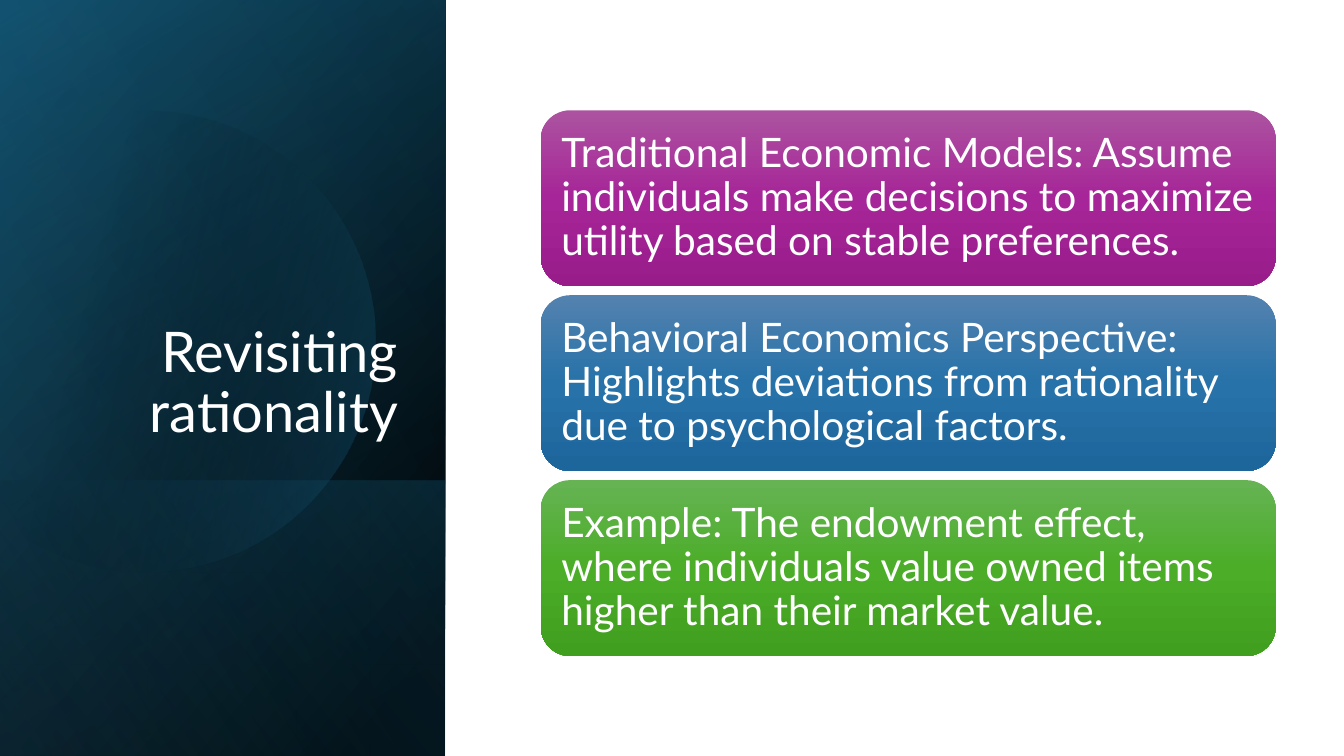
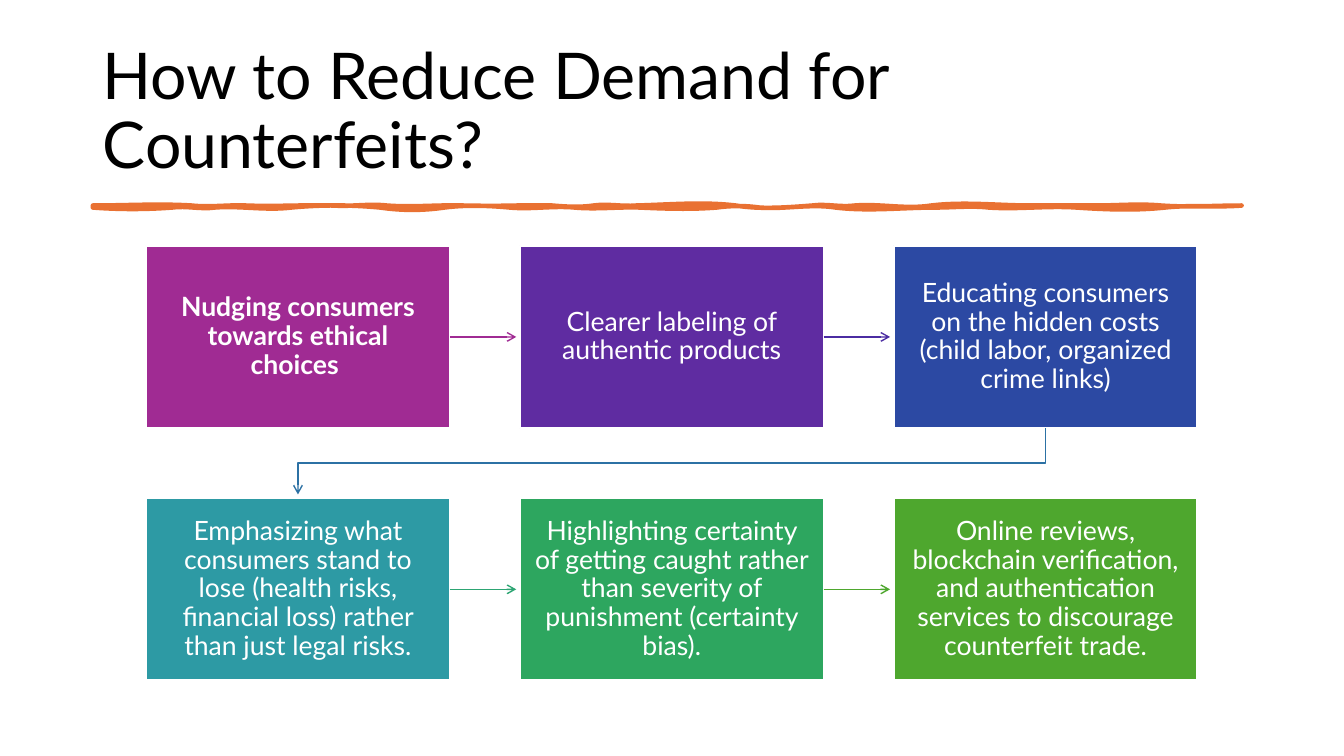
"""Build two slides: rationality statements beside a dark panel, and a six-step flow."""
import math

from pptx import Presentation
from pptx.dml.color import RGBColor
from pptx.enum.shapes import MSO_CONNECTOR, MSO_SHAPE
from pptx.enum.text import MSO_ANCHOR, PP_ALIGN
from pptx.oxml import parse_xml
from pptx.oxml.ns import nsdecls, qn
from pptx.util import Cm, Pt

RECTANGLE, ROUNDED = MSO_SHAPE.RECTANGLE, MSO_SHAPE.ROUNDED_RECTANGLE
STRAIGHT = MSO_CONNECTOR.STRAIGHT
LEFT, CENTER, RIGHT = PP_ALIGN.LEFT, PP_ALIGN.CENTER, PP_ALIGN.RIGHT
MIDDLE, BOTTOM = MSO_ANCHOR.MIDDLE, MSO_ANCHOR.BOTTOM

FONT = "Lato"
WHITE = RGBColor(0xFF, 0xFF, 0xFF)
BLACK = RGBColor(0x00, 0x00, 0x00)
NAVY = RGBColor(0x10, 0x48, 0x62)
TEAL = RGBColor(0x15, 0x60, 0x82)
SKY = RGBColor(0x46, 0xB1, 0xE1)
ORANGE = RGBColor(0xE9, 0x71, 0x32)
PURPLES = RGBColor(0xAC, 0x53, 0xA0), RGBColor(0xA6, 0x25, 0x98), RGBColor(0x99, 0x1C, 0x8B)
BLUES = RGBColor(0x53, 0x82, 0xAF), RGBColor(0x27, 0x72, 0xA9), RGBColor(0x1D, 0x66, 0x9C)
GREENS = RGBColor(0x66, 0xB3, 0x54), RGBColor(0x4B, 0xAD, 0x28), RGBColor(0x40, 0x9F, 0x1E)
MAGENTA = RGBColor(0xA0, 0x2B, 0x93)
VIOLET = RGBColor(0x5F, 0x2C, 0xA1)
INDIGO = RGBColor(0x4B, 0x2C, 0xA2)
ROYAL = RGBColor(0x2C, 0x49, 0xA3)
STEEL = RGBColor(0x2C, 0x71, 0xA4)
CYAN = RGBColor(0x2D, 0x9A, 0xA4)
JADE = RGBColor(0x2D, 0xA5, 0x73)
EMERALD = RGBColor(0x2D, 0xA6, 0x5F)
LEAF = RGBColor(0x4E, 0xA7, 0x2E)


def write_text(box, text, size, color, align, anchor, inset_x, inset_y, bold=False):
    """Set one paragraph in the deck's type style."""
    frame = box.text_frame
    frame.word_wrap = True
    frame.vertical_anchor = anchor
    frame.margin_left = frame.margin_right = Cm(inset_x)
    frame.margin_top = frame.margin_bottom = Cm(inset_y)
    para = frame.paragraphs[0]
    para.alignment = align
    para.line_spacing = 0.9
    span = para.add_run()
    span.text = text
    span.font.name = FONT
    span.font.size = Pt(size)
    span.font.bold = bold
    span.font.color.rgb = color


def fill_gradient(shape, angle, stops):
    """Fill a borderless shape with (position, colour, opacity) stops in percent."""
    marks = "".join(
        f'<a:gs pos="{place * 1000}"><a:srgbClr val="{color}">'
        f'<a:alpha val="{opacity * 1000}"/></a:srgbClr></a:gs>'
        for place, color, opacity in stops
    )
    shape.fill.gradient()
    properties = shape._element.spPr
    properties.replace(properties.find(qn("a:gradFill")), parse_xml(
        f'<a:gradFill {nsdecls("a")} rotWithShape="1"><a:gsLst>{marks}</a:gsLst>'
        f'<a:lin ang="{angle * 60000}" scaled="0"/></a:gradFill>'
    ))
    shape.line.fill.background()
    shape.shadow.inherit = False


deck = Presentation()
deck.slide_width, deck.slide_height = Cm(33.87), Cm(19.05)
blank = deck.slide_layouts[6]

page = deck.slides.add_slide(blank)
full_panel = (-3.92, 3.91, 19.05, 11.23)
lower_panel = (2.12, 9.97, 6.96, 11.23)
panels = [
    (full_panel, 50, [(8, BLACK, 100), (100, NAVY, 100)]),
    (full_panel, 30, [(0, BLACK, 0), (99, TEAL, 46)]),
    (lower_panel, 130, [(2, TEAL, 29), (100, BLACK, 30)]),
    (None, 14, [(29, BLACK, 0), (100, TEAL, 43)]),
    (full_panel, 120, [(0, BLACK, 0), (99, SKY, 11)]),
]
center_x, center_y, radius = 3.66, 8.6, 5.8
turns = [math.radians(turn) for turn in (-134, -90, 0, 90, 134)]
arc_points = [
    (center_x + radius * math.cos(turn), center_y + radius * math.sin(turn)) for turn in turns
]
arc_controls = []
for index in range(len(turns) - 1):
    start, end = turns[index:index + 2]
    reach = radius * 4 / 3 * math.tan((end - start) / 4)
    (x1, y1), (x2, y2) = arc_points[index:index + 2]
    arc_controls.append((
        (x1 - reach * math.sin(start), y1 + reach * math.cos(start)),
        (x2 + reach * math.sin(end), y2 - reach * math.cos(end)),
    ))
for area, angle, stops in panels:
    if area:
        panel = page.shapes.add_shape(RECTANGLE, *[Cm(length) for length in area])
        panel.rotation = 90
        panel._element.spPr.find(qn("a:xfrm")).set("flipH", "1")
    else:
        corners = [(Cm(x), Cm(y)) for x, y in arc_points]
        outline = page.shapes.build_freeform(*corners[0])
        outline.add_line_segments(corners[1:])
        panel = circle = outline.convert_to_shape()
    fill_gradient(panel, angle, stops)

title = page.shapes.add_textbox(Cm(1.62), Cm(4.69), Cm(8.66), Cm(6.65))
write_text(title, "Revisiting rationality", 40, WHITE, RIGHT, BOTTOM, 0.25, 0.13)

statements = [
    ("Traditional Economic Models: Assume individuals make decisions to maximize "
     "utility based on stable preferences.", PURPLES),
    ("Behavioral Economics Perspective: Highlights deviations from rationality "
     "due to psychological factors.", BLUES),
    ("Example: The endowment effect, where individuals value owned items higher "
     "than their market value.", GREENS),
]
for row, (text, colors) in enumerate(statements):
    pill = page.shapes.add_shape(ROUNDED, Cm(13.63), Cm(2.78 + 4.66 * row), Cm(18.52), Cm(4.43))
    fill_gradient(pill, 90, [(50 * step, color, 100) for step, color in enumerate(colors)])
    write_text(pill, text, 29, WHITE, LEFT, MIDDLE, 0.3, 0.3)

page = deck.slides.add_slide(blank)
title = page.shapes.add_textbox(Cm(2.34), Cm(1.01), Cm(29.21), Cm(3.68))
write_text(title, "How to Reduce Demand for Counterfeits?", 46, BLACK, LEFT, MIDDLE, 0.25, 0.13)

upper_edge = [
    (4.83, 5.18, 5.13), (6.2, 5.23, 5.16), (8.41, 5.21, 5.16), (9.75, 5.21, 5.13),
    (11.68, 5.23, 5.16), (13.92, 5.21, 5.16), (14.96, 5.21, 5.23), (16.03, 5.13, 5.21),
    (18.54, 5.16, 5.08), (20.47, 5.28, 5.23), (21.54, 5.13, 5.23), (23.47, 5.13, 5.28),
    (25.98, 5.08, 5.18), (27.61, 5.18, 5.18), (29.26, 5.18, 5.13), (31.29, 5.23, 5.18),
]
lower_edge = [
    (29.36, 5.23, 5.16), (27.13, 5.31, 5.28), (24.92, 5.18, 5.28), (23.57, 5.18, 5.23),
    (21.06, 5.23, 5.33), (19.13, 5.13, 5.28), (18.06, 5.18, 5.18), (16.13, 5.28, 5.26),
    (14.48, 5.21, 5.28), (12.85, 5.18, 5.28), (11.2, 5.18, 5.16), (9.58, 5.31, 5.31),
    (7.34, 5.16, 5.16), (5.41, 5.31, 5.18), (4.34, 5.28, 5.18), (2.34, 5.28, 5.28),
]
start_x = 2.34
brush_points, brush_controls = [(Cm(start_x), Cm(5.18))], []
for base, edge in ((5.18, upper_edge), (5.23, lower_edge)):
    for end_x, first_y, second_y in edge:
        third = (end_x - start_x) / 3
        brush_controls.append(((start_x + third, first_y), (end_x - third, second_y)))
        brush_points.append((Cm(end_x), Cm(base)))
        start_x = end_x
outline = page.shapes.build_freeform(*brush_points[0])
outline.add_line_segments(brush_points[1:])
brush = outline.convert_to_shape()
brush.shadow.inherit = False
brush.fill.solid()
brush.fill.fore_color.rgb = ORANGE
brush.line.color.rgb = ORANGE
brush.line.width = Pt(3.25)

for shape, controls in ((circle, arc_controls), (brush, brush_controls)):
    segments = list(shape._element.spPr.iter(qn("a:lnTo")))
    for segment, pair in zip(segments, controls):
        segment.tag = qn("a:cubicBezTo")
        for place, (x, y) in enumerate(pair):
            segment.insert(place, parse_xml(
                f'<a:pt {nsdecls("a")} x="{Cm(x) - shape.left}" y="{Cm(y) - shape.top}"/>'))

steps = [
    ("Nudging consumers towards ethical choices ", MAGENTA, MAGENTA),
    ("Clearer labeling of authentic products", VIOLET, INDIGO),
    ("Educating consumers on the hidden costs (child labor, organized crime links)",
     ROYAL, STEEL),
    ("Emphasizing what consumers stand to lose (health risks, financial loss) rather "
     "than just legal risks.", CYAN, JADE),
    ("Highlighting certainty of getting caught rather than severity of punishment "
     "(certainty bias).", EMERALD, LEAF),
    ("Online reviews, blockchain verification, and authentication services to "
     "discourage counterfeit trade.", LEAF, None),
]
columns = 3
card_width, card_height = 7.66, 4.6
grid_left, grid_top, pitch_x, pitch_y = 3.68, 6.19, 9.42, 6.36
for index, (text, color, arrow_color) in enumerate(steps):
    row, column = divmod(index, columns)
    left, top = grid_left + pitch_x * column, grid_top + pitch_y * row
    card = page.shapes.add_shape(RECTANGLE, Cm(left), Cm(top), Cm(card_width), Cm(card_height))
    card.shadow.inherit = False
    card.fill.solid()
    card.fill.fore_color.rgb = color
    card.line.color.rgb = WHITE
    card.line.width = Pt(1.5)
    write_text(card, text, 19, WHITE, CENTER, MIDDLE, 0.38, 0.41, bold=index == 0)
    if arrow_color is None:
        continue
    if column < columns - 1:
        right, middle = left + card_width, top + card_height / 2
        arrow = page.shapes.add_connector(
            STRAIGHT, Cm(right), Cm(middle), Cm(right + 1.67), Cm(middle))
        arrow._element.spPr.append(parse_xml(f'<a:effectLst {nsdecls("a")}/>'))
    else:
        from_x, to_x = left + card_width / 2, grid_left + card_width / 2
        bottom = top + card_height
        outline = page.shapes.build_freeform(Cm(from_x), Cm(bottom))
        outline.add_line_segments([
            (Cm(from_x), Cm(bottom + 0.88)),
            (Cm(to_x), Cm(bottom + 0.88)),
            (Cm(to_x), Cm(bottom + 1.67)),
        ], close=False)
        arrow = outline.convert_to_shape()
        arrow.fill.background()
        arrow.shadow.inherit = False
    arrow.line.color.rgb = arrow_color
    arrow.line.width = Pt(1)
    arrow._element.spPr.find(qn("a:ln")).append(
        parse_xml(f'<a:tailEnd {nsdecls("a")} type="arrow"/>'))

deck.save("out.pptx")
